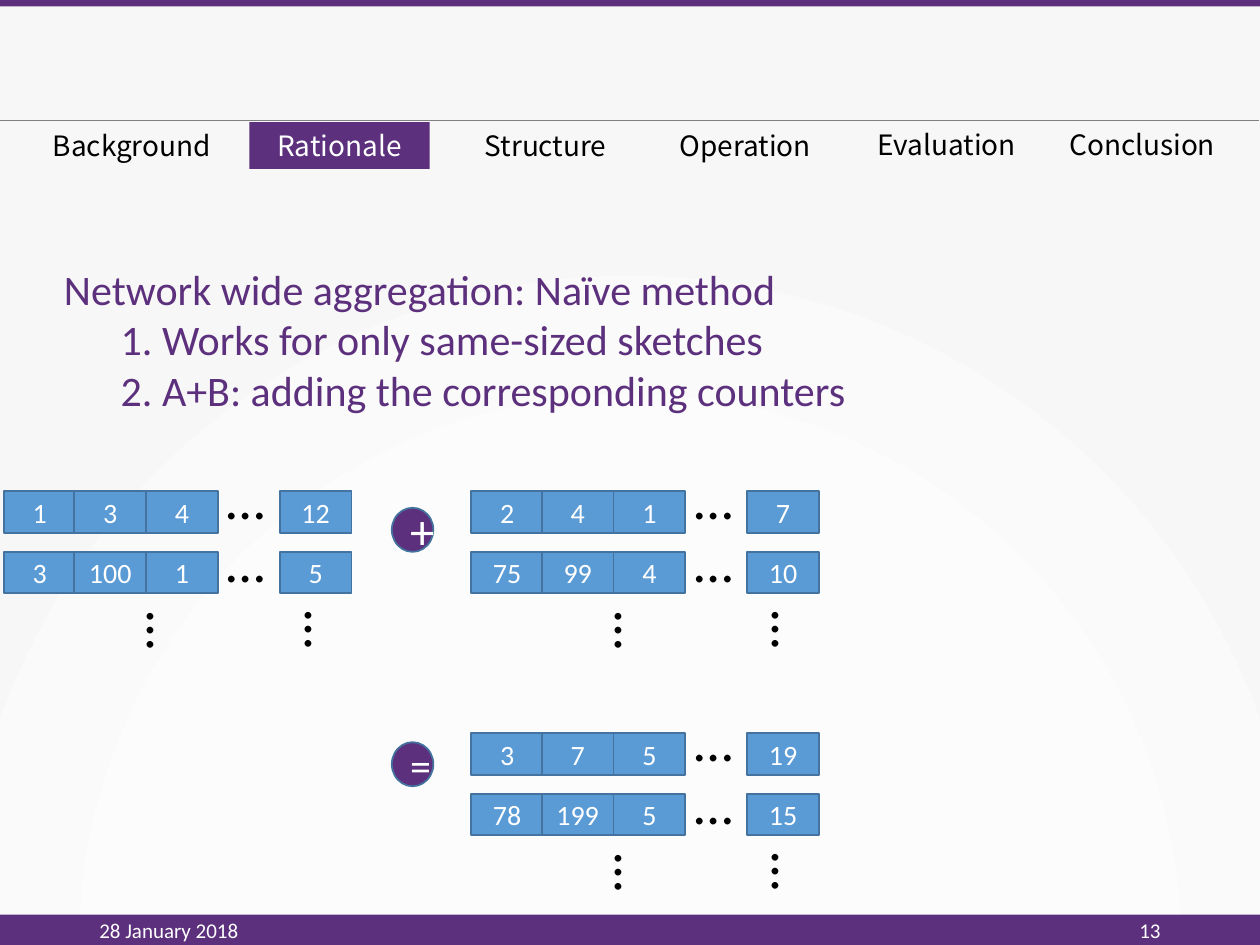
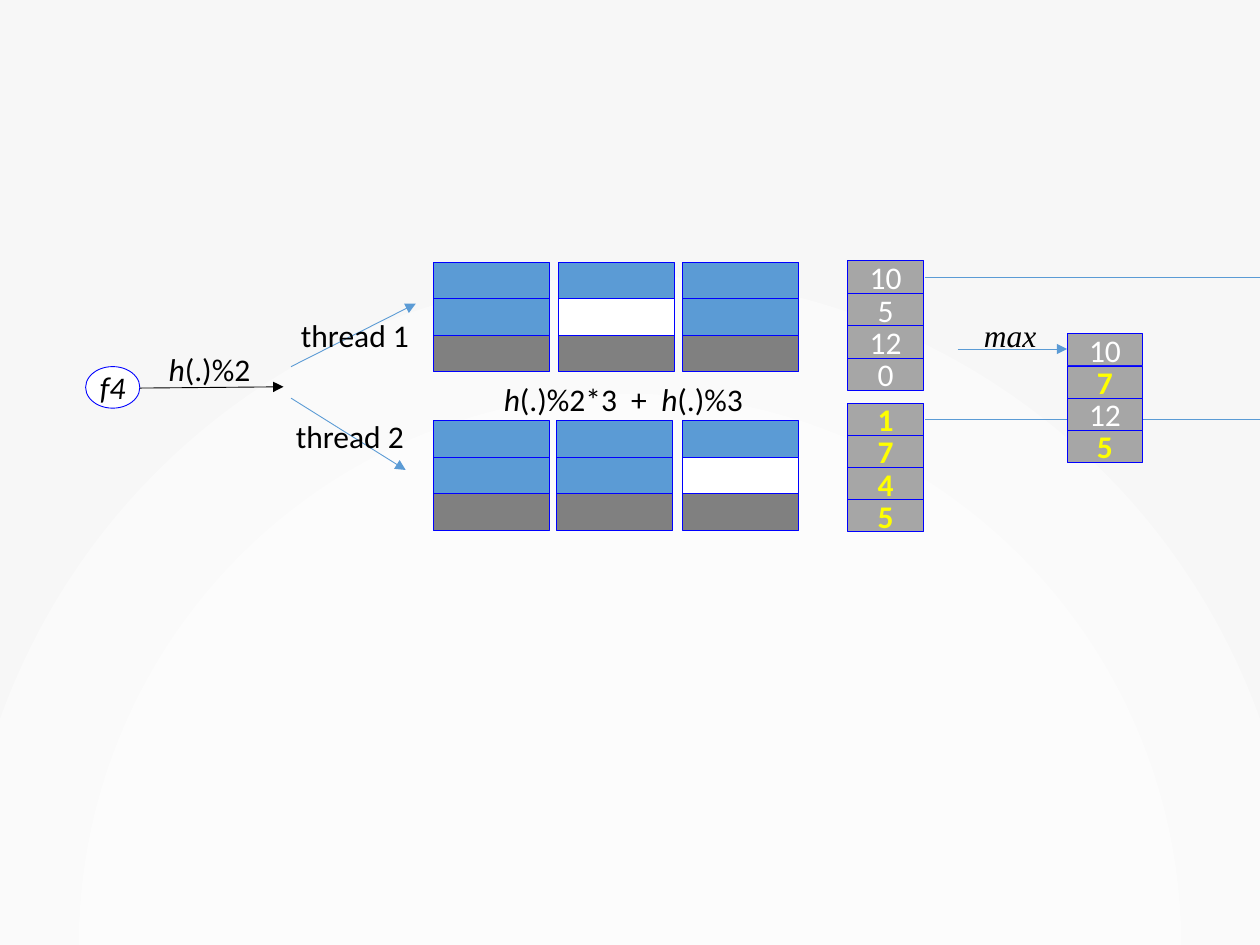
from lxml.etree import SubElement
from pptx import Presentation
from pptx.dml.color import RGBColor
from pptx.enum.shapes import MSO_CONNECTOR as Link, MSO_SHAPE as Preset
from pptx.enum.text import MSO_ANCHOR as Anchor, MSO_AUTO_SIZE as Fit, PP_ALIGN as Align
from pptx.oxml.ns import qn
from pptx.util import Emu, Inches, Pt

COLOURS = {
    "purple": "5C307D", "blue": "5B9BD5", "cell_edge": "43739E",
    "outline": "0000FF", "grey": "808080", "silver": "A6A6A6",
    "yellow": "FFFF00", "white": "FFFFFF", "black": "000000",
    "centre": "FCFCFC", "rim": "F7F7F7",
}
BODY, MENU, MATH = "Calibri", "Noto Sans CJK SC", "Times New Roman"
CELL = dict(fill="blue", edge="cell_edge", weight=1)
CELL_TEXT = dict(size=16, colour="white", align=Align.CENTER)
PLAIN = dict(size=18)
ITALIC = dict(size=18, italic=True)


def rgb(name):
    return RGBColor.from_string(COLOURS[name])


def add_paragraph(para, spans, size=18, font=BODY, colour="black", align=None,
                  indent=0, **formats):
    if align is not None:
        para.alignment = align
    if indent:
        para._p.get_or_add_pPr().set("marL", str(Inches(indent)))
    for text, extra in spans:
        span = para.add_run()
        span.text = text
        span.font.color.rgb = rgb(colour)
        values = dict(name=font, size=Pt(size), **formats)
        values.update(extra)
        for key, value in values.items():
            setattr(span.font, key, value)


def write(shape, content, anchor=Anchor.MIDDLE, wrap=True, grow=False,
          margins=None, **style):
    frame = shape.text_frame
    frame.word_wrap = wrap
    frame.vertical_anchor = anchor
    frame.auto_size = Fit.SHAPE_TO_FIT_TEXT if grow else Fit.NONE
    if margins is not None:
        frame.margin_left = frame.margin_right = Inches(margins)
    spans = [(content, {})] if isinstance(content, str) else content
    add_paragraph(frame.paragraphs[0], spans, **style)
    return frame


def add_block(page, box, fill, edge=None, weight=0.5, preset=Preset.RECTANGLE):
    shape = page.shapes.add_shape(preset, *map(Inches, box))
    shape.shadow.inherit = False
    shape.fill.solid()
    shape.fill.fore_color.rgb = rgb(fill)
    if edge:
        shape.line.color.rgb = rgb(edge)
        shape.line.width = Pt(weight)
    else:
        shape.line.fill.background()
    return shape


def add_label(page, box, content, anchor=Anchor.TOP, rotation=0, grow=True, **style):
    label = page.shapes.add_textbox(*map(Inches, box))
    label.rotation = rotation
    return write(label, content, anchor=anchor, grow=grow, **style)


def add_line(page, start, end, colour, arrow=False, kind=Link.STRAIGHT):
    line = page.shapes.add_connector(kind, *map(Inches, start + end))
    line.line.color.rgb = rgb(colour)
    line.line.width = Pt(0.5)
    if arrow:
        SubElement(line.line._get_or_add_ln(), qn("a:tailEnd"), type="triangle")
    SubElement(line._element.spPr, qn("a:effectLst"))
    return line


def set_background(deck):
    master = deck.slide_master
    master.background.fill.gradient()
    gradient = master.element.find(".//" + qn("a:gradFill"))
    for child in list(gradient):
        gradient.remove(child)
    stops = SubElement(gradient, qn("a:gsLst"))
    for position, name in ((0, "white"), (55000, "centre"), (100000, "rim")):
        stop = SubElement(stops, qn("a:gs"), pos=str(position))
        SubElement(stop, qn("a:srgbClr"), val=COLOURS[name])
    route = SubElement(gradient, qn("a:path"), path="circle")
    SubElement(route, qn("a:fillToRect"), l="50000", t="130000", r="50000", b="-30000")


def add_bands(page, date, number):
    add_block(page, (0, 0, 10, 0.05), "purple")
    add_block(page, (0, 7.26, 10, 0.24), "purple")
    for left, text, align in ((0.69, date, Align.LEFT), (7.06, number, Align.RIGHT)):
        add_label(page, (left, 7.18, 2.25, 0.4), text, anchor=Anchor.MIDDLE,
                  grow=False, size=12, colour="white", align=align)


def add_menu(page, top, current):
    add_line(page, (-0.01, top), (9.99, top), "grey")
    tabs = (("Background", 0.3, 1.49, 0.01), ("Rationale", 1.98, 1.43, 0.01),
            ("Structure", 3.74, 1.18, 0.01), ("Operation", 5.27, 1.29, 0.01),
            ("Evaluation", 6.86, 1.31, 0), ("Conclusion", 8.37, 1.39, 0))
    style = dict(size=16, font=MENU, align=Align.CENTER, grow=True)
    for name, left, width, drop in tabs:
        box = (left, top + drop, width, 0.37)
        if name == current:
            write(add_block(page, box, "purple"), name, anchor=Anchor.TOP,
                  colour="white", **style)
        else:
            add_label(page, box, name, wrap=False, **style)


def add_sketch(page, left, top, rows):
    for index, counters in enumerate(rows):
        row_top = top + 0.48 * index
        for offset, counter in zip((0, 0.56, 1.13, 2.19), counters):
            cell = add_block(page, (left + offset, row_top, 0.57, 0.33), **CELL)
            write(cell, str(counter), **CELL_TEXT)
        dots_top = top - 0.27 + 0.5 * index
        add_label(page, (left + 1.67, dots_top, 0.52, 0.65), "…", size=32)
    for offset, drop in ((1.05, 0.78), (2.3, 0.77)):
        add_label(page, (left + offset, top + drop, 0.51, 0.66), "…",
                  rotation=90, size=32)


def add_operator(page, top, sign, size):
    circle = add_block(page, (3.11, top, 0.33, 0.35), "purple", "cell_edge", 1,
                       Preset.OVAL)
    write(circle, sign, size=size, colour="white", align=Align.CENTER)


def add_statement(page, box, heading, points):
    style = dict(size=24, colour="purple")
    frame = add_label(page, box, heading, **style)
    for point in points:
        add_paragraph(frame.add_paragraph(), [(point, {})], indent=0.45, **style)


def build_aggregation(page):
    add_bands(page, "28 January 2018", "13")
    add_menu(page, 0.96, "Rationale")
    add_statement(page, (0.41, 2.04, 7.76, 1.31),
                  "Network wide aggregation: Naïve method",
                  ("1. Works for only same-sized sketches",
                   "2. A+B: adding the corresponding counters"))
    first = ((1, 3, 4, 12), (3, 100, 1, 5))
    second = ((2, 4, 1, 7), (75, 99, 4, 10))
    total = [[a + b for a, b in zip(*pair)] for pair in zip(first, second)]
    add_sketch(page, 0.03, 3.9, first)
    add_sketch(page, 3.74, 3.9, second)
    add_sketch(page, 3.74, 5.82, total)
    add_operator(page, 4.03, "+", 28)
    add_operator(page, 5.89, "=", 24)


def add_buckets(page, top, lefts, chosen):
    for column, left in enumerate(lefts):
        for row, fill in enumerate(("blue", "blue", "grey")):
            if (column, row) == (chosen, 1):
                fill = "white"
            add_block(page, (left, top + 0.29 * row, 0.92, 0.29), fill, "outline")


def add_counters(page, left, top, height, counters, marked):
    step = height / len(counters)
    for index, counter in enumerate(counters):
        cell = add_block(page, (left, top + step * index, 0.6, step),
                         "silver", "outline")
        style = dict(colour="yellow", bold=True) if index in marked else dict(colour="white")
        write(cell, str(counter), align=Align.CENTER, **PLAIN, **style)


def add_bracket(page, left, top, bottom, reach):
    bracket = add_line(page, (left, top), (left, bottom), "blue", kind=Link.ELBOW)
    bracket.width = Emu(66)
    guides = bracket._element.spPr.find(qn("a:prstGeom")).get_or_add_avLst()
    ratio = round(Inches(reach) / bracket.width * 100000)
    SubElement(guides, qn("a:gd"), name="adj1", fmla=f"val {ratio}")


def add_flow(page):
    flow = add_block(page, (0.68, 2.91, 0.43, 0.33), "white", "outline",
                     preset=Preset.OVAL)
    write(flow, "f4", margins=0.02, align=Align.CENTER, **ITALIC)
    for start, end, colour in (((1.11, 3.08), (2.25, 3.07), "black"),
                               ((2.31, 2.91), (3.3, 2.41), "blue"),
                               ((2.31, 3.16), (3.22, 3.73), "blue")):
        add_line(page, start, end, colour, arrow=True)


def add_captions(page):
    slanted = ("h", dict(italic=True))
    add_label(page, (7.71, 2.46, 0.64, 0.29), "max", wrap=False, font=MATH, **ITALIC)
    add_label(page, (1.24, 2.73, 1.27, 0.36), [slanted, ("(.)%2", {})], **PLAIN)
    for left, top, text in ((2.29, 2.46, "thread 1"), (2.25, 3.26, "thread 2")):
        add_label(page, (left, top, 1.07, 0.36), text, wrap=False, **PLAIN)
    add_label(page, (3.9, 2.97, 2.47, 0.36),
              [slanted, ("(.)%2*3  +  ", {}), slanted, ("(.)%3", {})], **PLAIN)


def build_threads(page):
    add_buckets(page, 2.08, (3.44, 4.43, 5.42), chosen=1)
    add_buckets(page, 3.34, (3.44, 4.42, 5.42), chosen=2)
    add_flow(page)
    add_counters(page, 6.73, 2.07, 1.03, (10, 5, 12, 0), ())
    add_counters(page, 6.73, 3.2, 1.02, (1, 7, 4, 5), (0, 1, 2, 3))
    add_bracket(page, 7.34, 2.2, 3.33, 0.25)
    add_counters(page, 8.47, 2.65, 1.02, (10, 7, 12, 5), (1, 3))
    add_line(page, (7.6, 2.77), (8.47, 2.77), "blue", arrow=True)
    add_captions(page)


def main():
    deck = Presentation()
    deck.slide_width, deck.slide_height = Inches(10), Inches(7.5)
    set_background(deck)
    for build in (build_aggregation, build_threads):
        build(deck.slides.add_slide(deck.slide_layouts[6]))
    deck.save("out.pptx")


if __name__ == "__main__":
    main()
